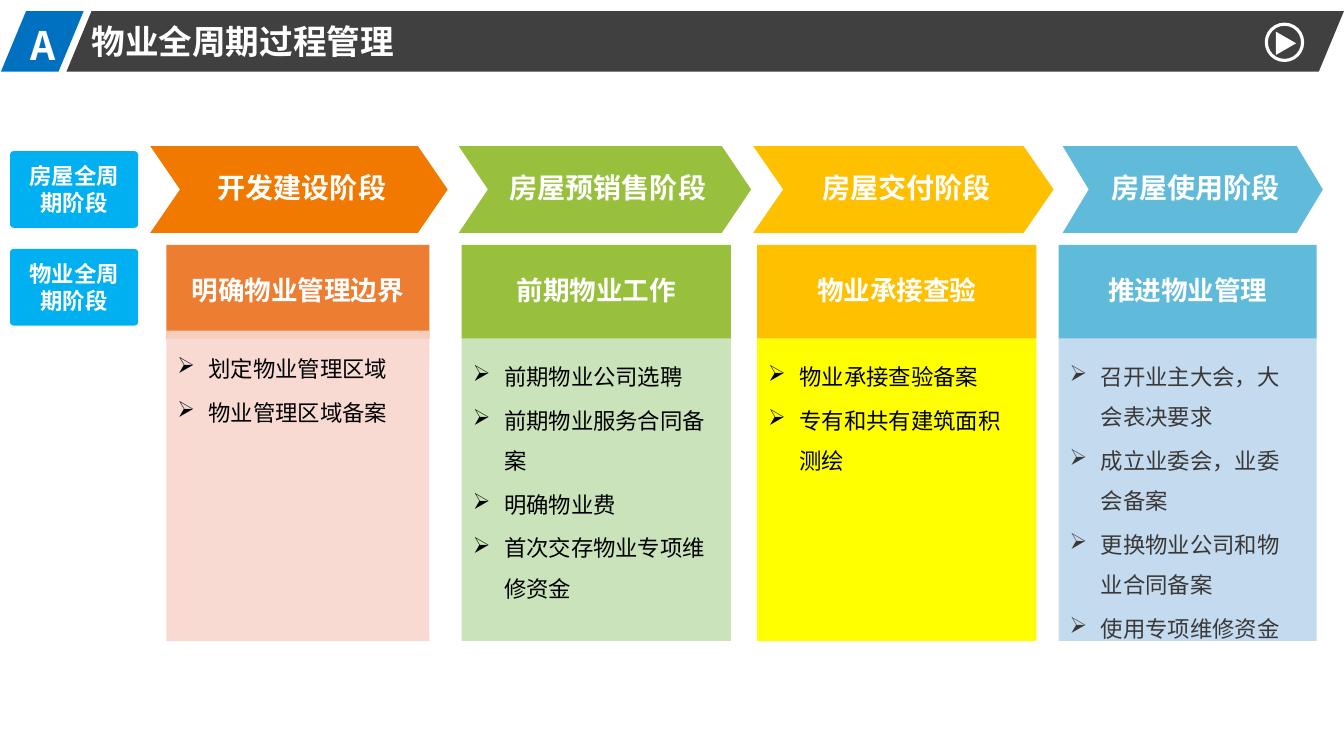
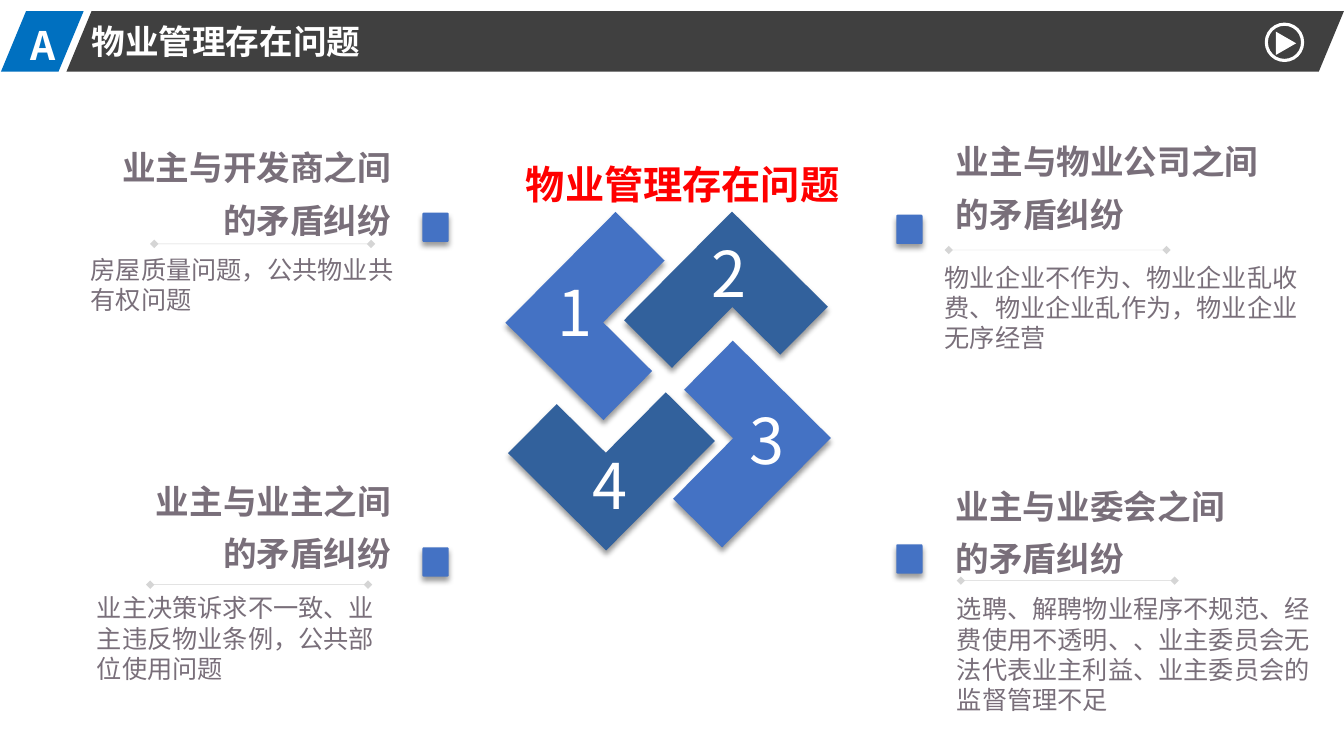
from pptx import Presentation
from pptx.util import Inches, Pt
from pptx.dml.color import RGBColor
from pptx.enum.shapes import MSO_SHAPE, MSO_CONNECTOR
from pptx.enum.text import PP_ALIGN, MSO_ANCHOR, MSO_AUTO_SIZE
from pptx.oxml import parse_xml
from pptx.oxml.ns import nsdecls, qn
from lxml import etree

LEFT, MID, RIGHT = PP_ALIGN.LEFT, PP_ALIGN.CENTER, PP_ALIGN.RIGHT
TOP, CENTER = MSO_ANCHOR.TOP, MSO_ANCHOR.MIDDLE
GROW = MSO_AUTO_SIZE.SHAPE_TO_FIT_TEXT
SLANT, ROUND = MSO_SHAPE.PARALLELOGRAM, MSO_SHAPE.ROUNDED_RECTANGLE
RECT, CORNER = MSO_SHAPE.RECTANGLE, MSO_SHAPE.CORNER
OVAL, WEDGE = MSO_SHAPE.OVAL, MSO_SHAPE.ISOSCELES_TRIANGLE
STRAIGHT = MSO_CONNECTOR.STRAIGHT

FONT = "Noto Sans CJK SC"
COLOR = {
    "white": "FFFFFF", "black": "000000", "bar": "404040", "badge": "0070C0",
    "sky": "00B0F0", "orange": "F27900", "rust": "ED7D31", "green": "98C03C",
    "gold": "FFC000", "aqua": "60BBDA", "peach": "F8D7CE", "mint": "C5E0B4",
    "yellow": "FFFF00", "ice": "BDD7EE", "ink": "3B3838", "blue": "4472C4",
    "navy": "32619C", "mauve": "796F7A", "red": "FF0000", "rule": "808080",
}
TIGHT = (0.07, 0.04, 0.07, 0.04)


def write(shape, text, size=16, color="white", bold=False, font=FONT,
          align=LEFT, anchor=TOP, inset=(0.1, 0.05, 0.1, 0.05), space=None,
          after=None, bullet=None, wrap=True, grow=False):
    frame = shape.text_frame
    frame.word_wrap = wrap
    frame.vertical_anchor = anchor
    if grow:
        frame.auto_size = GROW
    (frame.margin_left, frame.margin_top,
     frame.margin_right, frame.margin_bottom) = map(Inches, inset)
    for i, line in enumerate(text.split("\n")):
        para = frame.add_paragraph() if i else frame.paragraphs[0]
        para.alignment = align
        if space:
            para.line_spacing = space
        if after:
            para.space_after = Pt(after)
        if bullet:
            props = para._p.get_or_add_pPr()
            props.set("marL", str(Inches(0.31)))
            props.set("indent", str(-Inches(0.31)))
            etree.SubElement(props, qn("a:buChar")).set("char", bullet)
        run = para.add_run()
        run.text = line
        run.font.size = Pt(size)
        run.font.bold = bold
        run.font.name = font
        run.font.color.rgb = RGBColor.from_string(COLOR[color])
        etree.SubElement(run._r.rPr, qn("a:ea")).set("typeface", FONT)


def paint(shape, color, alpha=None, shadow=False):
    shape.fill.solid()
    shape.fill.fore_color.rgb = RGBColor.from_string(COLOR[color])
    shape.line.fill.background()
    shape.shadow.inherit = False
    props = shape._element.spPr
    if alpha:
        tone = props.find(qn("a:solidFill"))[0]
        etree.SubElement(tone, qn("a:alpha")).set("val", str(alpha * 1000))
    if shadow:
        props.find(qn("a:effectLst")).append(parse_xml(
            f'<a:outerShdw {nsdecls("a")} blurRad="{Pt(4)}" dist="{Pt(3)}" '
            'dir="5400000" rotWithShape="0"><a:srgbClr val="000000">'
            '<a:alpha val="40000"/></a:srgbClr></a:outerShdw>'))


deck = Presentation()
deck.slide_width, deck.slide_height = Inches(13.33), Inches(7.5)

# Shared header band
slides = []
for title in ("物业全周期过程管理", "物业管理存在问题"):
    slide = deck.slides.add_slide(deck.slide_layouts[6])
    slides.append(slide)
    for x, w, color in ((0.66, 12.67, "bar"), (0.01, 0.82, "badge")):
        band = slide.shapes.add_shape(SLANT, *map(Inches, (x, 0.11, w, 0.6)))
        band.adjustments[0] = 0.415
        paint(band, color)
    for x, w, h, text, size in ((0.2, 0.69, 0.57, "A", 28),
                                (0.81, 11.74, 0.5, title, 24)):
        label = slide.shapes.add_textbox(*map(Inches, (x, 0.16, w, h)))
        write(label, text, size=size, bold=True, grow=True)
    ring = slide.shapes.add_shape(OVAL, *map(Inches, (12.56, 0.24, 0.36, 0.36)))
    paint(ring, "white")
    ring.fill.background()
    ring.line.color.rgb = RGBColor.from_string(COLOR["white"])
    ring.line.width = Pt(2.25)
    play = slide.shapes.add_shape(WEDGE, *map(Inches, (12.64, 0.33, 0.23, 0.2)))
    play.rotation = 90
    paint(play, "white")

# Slide 1: stages as arrows, each with a heading and a panel
flow, issues = slides
stages = [
    # arrow x, width, colour, text; column x, width, colour, text
    (1.49, 2.95, "orange", "开发建设阶段", 1.65, 2.61, "rust", "明确物业管理边界",
     3.28, "peach", 90, "black", "划定物业管理区域\n物业管理区域备案"),
    (4.55, 2.9, "green", "房屋预销售阶段", 4.58, 2.67, "green", "前期物业工作",
     3.36, "mint", 90, "black",
     "前期物业公司选聘\n前期物业服务合同备案\n明确物业费\n首次交存物业专项维修资金"),
    (7.47, 2.98, "gold", "房屋交付阶段", 7.51, 2.77, "gold", "物业承接查验",
     3.36, "yellow", None, "black", "物业承接查验备案\n专有和共有建筑面积测绘"),
    (10.54, 2.58, "aqua", "房屋使用阶段", 10.5, 2.56, "aqua", "推进物业管理",
     3.36, "ice", 90, "ink",
     "召开业主大会，大会表决要求\n成立业委会，业委会备案\n"
     "更换物业公司和物业合同备案\n使用专项维修资金"),
]
for (ax, aw, hue, stage, x, w, tint, head,
     top, pale, alpha, ink, tasks) in stages:
    tip = aw / 10
    y, mid, low = 1.45, 1.88, 2.31
    edge = [(ax + aw - tip, y), (ax + aw, mid), (ax + aw - tip, low),
            (ax, low), (ax + tip, mid)]
    path = flow.shapes.build_freeform(Inches(ax), Inches(y))
    path.add_line_segments([(Inches(px), Inches(py)) for px, py in edge])
    arrow = path.convert_to_shape()
    paint(arrow, hue)
    write(arrow, stage, size=20, bold=True, align=MID, anchor=CENTER,
          inset=(0.37, 0.06, 0.31, 0.06), space=0.9)

    cap = flow.shapes.add_shape(RECT, *map(Inches, (x, 2.43, w, 0.93)))
    paint(cap, tint)
    write(cap, head, size=19, bold=True, align=MID, anchor=CENTER,
          inset=(0.15, 0.08, 0.15, 0.08), space=0.9)

    panel = flow.shapes.add_shape(RECT, *map(Inches, (x, top, w, 6.36 - top)))
    paint(panel, pale, alpha=alpha)
    write(panel, tasks, color=ink, inset=(0.11, 0.11, 0.15, 0.17), space=1.5,
          after=2.4, bullet="➢")

# Row labels
for y, text in ((1.5, "房屋全周期阶段"), (2.47, "物业全周期阶段")):
    tag = flow.shapes.add_shape(ROUND, *map(Inches, (0.1, y, 1.27, 0.76)))
    tag.adjustments[0] = 0.047
    paint(tag, "sky")
    write(tag, text, bold=True, align=MID, anchor=CENTER)

# Slide 2: pinwheel of four corners, then their numbers
wheel = [
    # corner frame, number place
    ((5.36, 2.36, 1.37, 1.55), (5.46, 2.45)),
    ((6.44, 2.44, 1.52, 1.34), (6.99, 2.06)),
    ((6.53, 3.64, 1.37, 1.53), (7.36, 3.72)),
    ((5.3, 3.75, 1.53, 1.37), (5.81, 4.16)),
]
for i, (box, spot) in enumerate(wheel):
    blade = issues.shapes.add_shape(CORNER, *map(Inches, box))
    blade.rotation = 44.8 + 90 * i
    paint(blade, ("blue", "navy")[i % 2], shadow=True)
for i, (box, spot) in enumerate(wheel, 1):
    digit = issues.shapes.add_textbox(*map(Inches, (*spot, 0.52, 1.05)))
    write(digit, str(i), size=45, inset=TIGHT, space=1.3, grow=True)

# Centre title
label = issues.shapes.add_textbox(*map(Inches, (5.01, 1.41, 3.52, 0.63)))
write(label, "物业管理存在问题", size=28, color="red", bold=True, font="Arial",
      align=MID, inset=TIGHT, space=1.3, grow=True)

# Four disputes: marker, heading, rule and detail
disputes = [
    ((4.19, 2.11), (1.11, 1.3, 2.84, 1.07), RIGHT, "业主与开发商之间",
     (1.53, 3.68, 2.42), (0.83, 2.48, 3.35, 0.68),
     "房屋质量问题，公共物业共有权问题"),
    ((8.89, 2.13), (9.41, 1.24, 3.18, 1.07), LEFT, "业主与物业公司之间",
     (9.41, 11.57, 2.48), (9.3, 2.56, 3.77, 0.98),
     "物业企业不作为、物业企业乱收费、物业企业乱作为，物业企业无序经营"),
    ((4.19, 5.43), (1.44, 4.61, 2.51, 1.07), RIGHT, "业主与业主之间",
     (1.49, 3.65, 5.8), (0.89, 5.84, 3.02, 0.98),
     "业主决策诉求不一致、业主违反物业条例，公共部位使用问题"),
    ((8.89, 5.4), (9.41, 4.66, 2.84, 1.07), LEFT, "业主与业委会之间",
     (9.53, 11.65, 5.76), (9.42, 5.85, 3.77, 1.29),
     "选聘、解聘物业程序不规范、经费使用不透明、、业主委员会无法代表业主利益、"
     "业主委员会的监督管理不足"),
]
for spot, box, side, head, (x1, x2, y), area, text in disputes:
    mark = issues.shapes.add_shape(ROUND, *map(Inches, (*spot, 0.26, 0.29)))
    mark.adjustments[0] = 0.05
    paint(mark, "blue", shadow=True)

    label = issues.shapes.add_textbox(*map(Inches, box))
    write(label, head + "\n的矛盾纠纷", size=24, color="mauve", bold=True,
          font="Arial", align=side, inset=TIGHT, space=1.3, wrap=False,
          grow=True)

    rule = issues.shapes.add_connector(STRAIGHT, *map(Inches, (x1, y, x2, y)))
    rule.line.width = Pt(0.25)
    rule.line.color.rgb = RGBColor.from_string(COLOR["rule"])
    stroke = rule.line._get_or_add_ln()
    tone = stroke.find(qn("a:solidFill"))[0]
    etree.SubElement(tone, qn("a:alpha")).set("val", "33000")
    for end in ("a:headEnd", "a:tailEnd"):
        etree.SubElement(stroke, qn(end)).set("type", "diamond")
    etree.SubElement(rule._element.spPr, qn("a:effectLst"))

    note = issues.shapes.add_textbox(*map(Inches, area))
    write(note, text, size=18, color="mauve", inset=TIGHT, grow=True)

deck.save("out.pptx")
